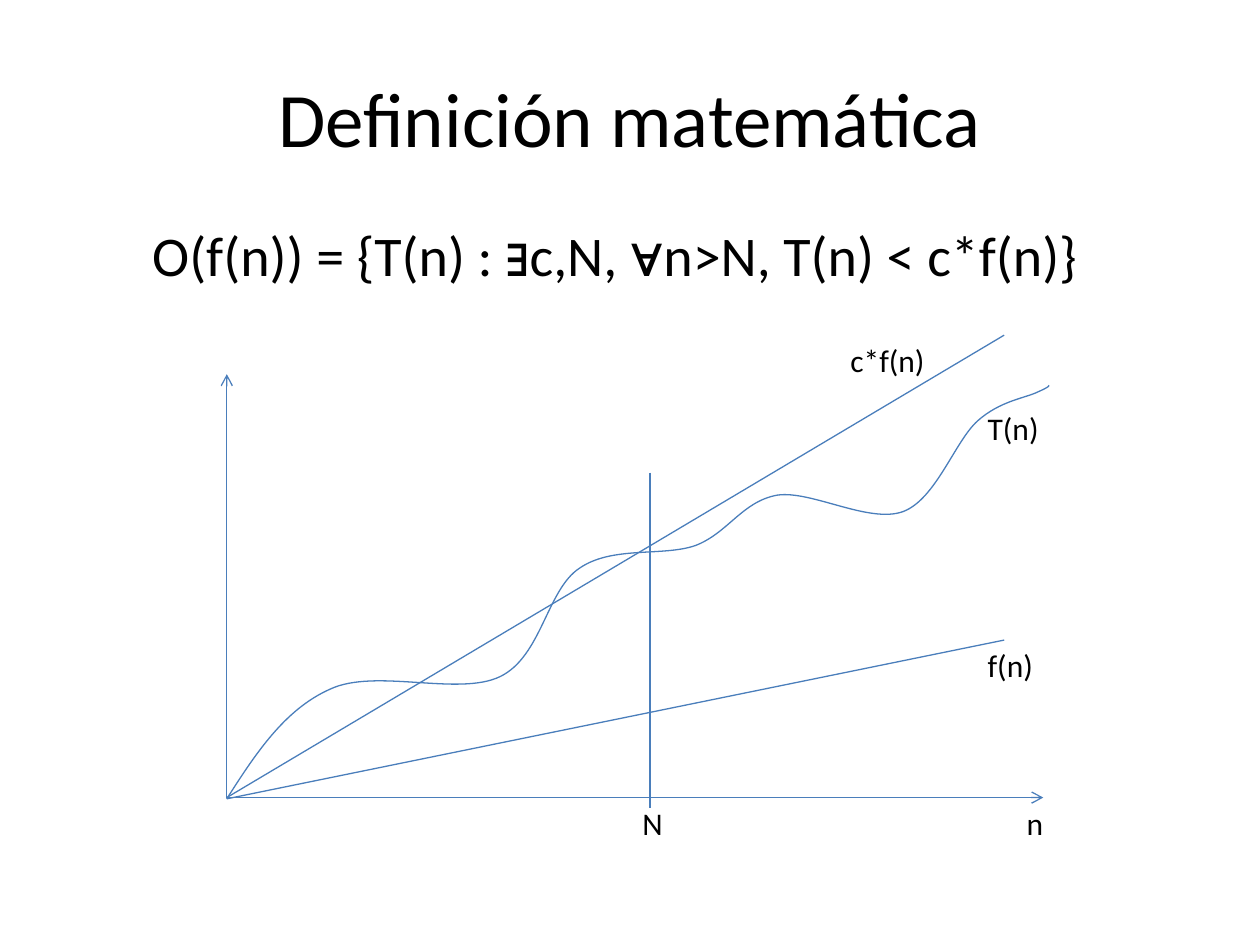
from dataclasses import dataclass
from itertools import groupby

from lxml.etree import SubElement
from pptx import Presentation
from pptx.dml.color import RGBColor
from pptx.enum.shapes import MSO_CONNECTOR
from pptx.enum.text import MSO_ANCHOR, MSO_AUTO_SIZE, PP_ALIGN
from pptx.oxml.ns import qn
from pptx.shapes.shapetree import GroupShapes
from pptx.text.text import TextFrame
from pptx.util import Inches, Pt

# The slide is a grid of square cells, COLUMNS by ROWS
COLUMNS, ROWS = 100, 75
CELL = Inches(10) // COLUMNS
Point = tuple[float, float]


@dataclass(frozen=True)
class Theme:
    ink: RGBColor = RGBColor(0x00, 0x00, 0x00)
    stroke: RGBColor = RGBColor(0x4A, 0x7E, 0xBB)
    font: str = "Calibri"
    symbol_font: str = "Arial"
    symbols: str = "∃∀"
    title_size: int = 44
    formula_size: int = 32
    label_size: int = 18
    line_width: float = 0.75


THEME = Theme()


@dataclass(frozen=True)
class Line:
    start: Point
    end: Point
    arrow: bool = False


@dataclass(frozen=True)
class Label:
    text: str
    column: float
    row: float
    width: float
    height: float = 4
    size: int = THEME.label_size


ORIGIN = (18, 63.3)
AXIS_ROW = ORIGIN[1]
LINE_END = 79.7
LIMIT_COLUMN = 51.6

LINES = [
    Line(ORIGIN, (18, 29.7), arrow=True),
    Line(ORIGIN, (82.8, AXIS_ROW), arrow=True),
    Line((18, 63.4), (LINE_END, 50.8)),
    Line(ORIGIN, (LINE_END, 26.6)),
    Line((LIMIT_COLUMN, 37.5), (LIMIT_COLUMN, 64.1)),
]

# Each width leaves a little room beyond the text, so that no label breaks
LABELS = [
    Label("n", 80.5, AXIS_ROW, 3.5),
    Label("T(n)", 77.4, 32, 6.4),
    Label("f(n)", 77.4, 50.8, 5.8),
    Label("c*f(n)", 66.5, 26.6, 8.1),
    Label("N", 50, AXIS_ROW, 3.8),
]

FORMULA = Label("O(f(n)) = {T(n) : ∃c,N, ∀n>N, T(n) < c*f(n)}",
                11.1, 17, 77, 6.4, THEME.formula_size)

# T(n): a start point, then two controls and an end point per segment
CURVE: list[Point] = [
    (18, 63.4),
    (20.3, 59.8), (22.6, 56.3), (26.2, 54.7),
    (29.8, 53), (36.4, 55.3), (39.7, 53.7),
    (43, 52.1), (43.4, 46.8), (46, 45.1),
    (48.6, 43.3), (52.6, 44.2), (55.2, 43.3),
    (57.8, 42.3), (58.9, 39.8), (61.7, 39.3),
    (64.4, 38.9), (69, 41.6), (71.7, 40.6),
    (74.3, 39.6), (75.8, 35), (77.6, 33.4),
    (79.4, 31.8), (81.4, 31.6), (82.4, 31.1),
    (83.3, 30.7), (83.3, 30.6), (83.2, 30.6),
]


def cells(count: float) -> int:
    return round(count * CELL)


def write(frame: TextFrame, text: str, *, size: int,
          align: PP_ALIGN = PP_ALIGN.LEFT) -> None:
    """Write one paragraph, with logic symbols in their own font."""
    paragraph = frame.paragraphs[0]
    paragraph.alignment = align
    for is_symbol, letters in groupby(text, lambda letter: letter in THEME.symbols):
        run = paragraph.add_run()
        run.text = "".join(letters)
        run.font.name = THEME.symbol_font if is_symbol else THEME.font
        run.font.size = Pt(size)
        run.font.color.rgb = THEME.ink


def draw_label(shapes: GroupShapes, label: Label) -> None:
    box = shapes.add_textbox(cells(label.column), cells(label.row),
                             cells(label.width), cells(label.height))
    box.text_frame.word_wrap = False
    box.text_frame.auto_size = MSO_AUTO_SIZE.SHAPE_TO_FIT_TEXT
    write(box.text_frame, label.text, size=label.size)


def draw_line(shapes: GroupShapes, line: Line) -> None:
    connector = shapes.add_connector(
        MSO_CONNECTOR.STRAIGHT, *map(cells, line.start + line.end))
    connector.line.color.rgb = THEME.stroke
    connector.line.width = Pt(THEME.line_width)
    properties = connector._element.spPr
    if line.arrow:
        SubElement(properties.find(qn("a:ln")), qn("a:tailEnd"), type="arrow")
    SubElement(properties, qn("a:effectLst"))


def draw_curve(shapes: GroupShapes, points: list[Point]) -> None:
    builder = shapes.build_freeform(*map(cells, points[0]))
    builder.add_line_segments(
        [(cells(column), cells(row)) for column, row in points[1:]], close=False)
    curve = builder.convert_to_shape()
    # Join every three straight segments into one Bézier segment
    outline = next(curve._element.iter(qn("a:path")))
    segments = outline.findall(qn("a:lnTo"))
    for first in range(0, len(segments), 3):
        bezier = SubElement(outline, qn("a:cubicBezTo"))
        for segment in segments[first:first + 3]:
            bezier.append(segment[0])
            outline.remove(segment)
    curve.fill.background()
    curve.line.color.rgb = THEME.stroke
    curve.line.width = Pt(THEME.line_width)
    curve.shadow.inherit = False


def main() -> None:
    presentation = Presentation()
    presentation.slide_width = cells(COLUMNS)
    presentation.slide_height = cells(ROWS)
    slide = presentation.slides.add_slide(presentation.slide_layouts[5])

    # Title
    title = slide.shapes.title
    title.left, title.top, title.width, title.height = map(cells, (5, 3, 90, 12.5))
    title.text_frame.vertical_anchor = MSO_ANCHOR.MIDDLE
    write(title.text_frame, "Definición matemática",
          size=THEME.title_size, align=PP_ALIGN.CENTER)

    # Graph: axes, functions and their labels
    graph = slide.shapes.add_group_shape().shapes
    for line in LINES:
        draw_line(graph, line)
    draw_curve(graph, CURVE)
    for label in LABELS:
        draw_label(graph, label)

    # Formula
    draw_label(slide.shapes, FORMULA)

    presentation.save("out.pptx")


if __name__ == "__main__":
    main()
